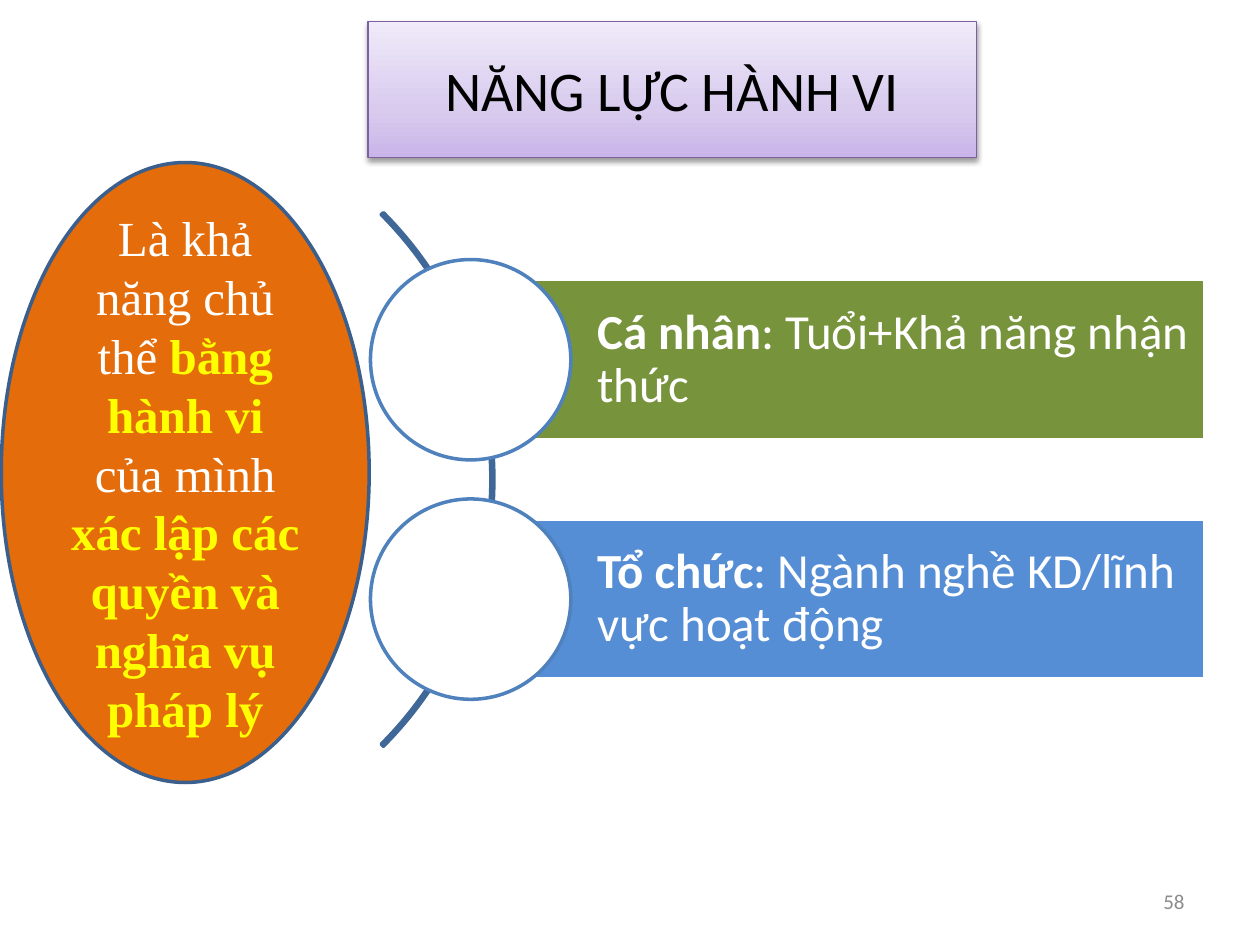
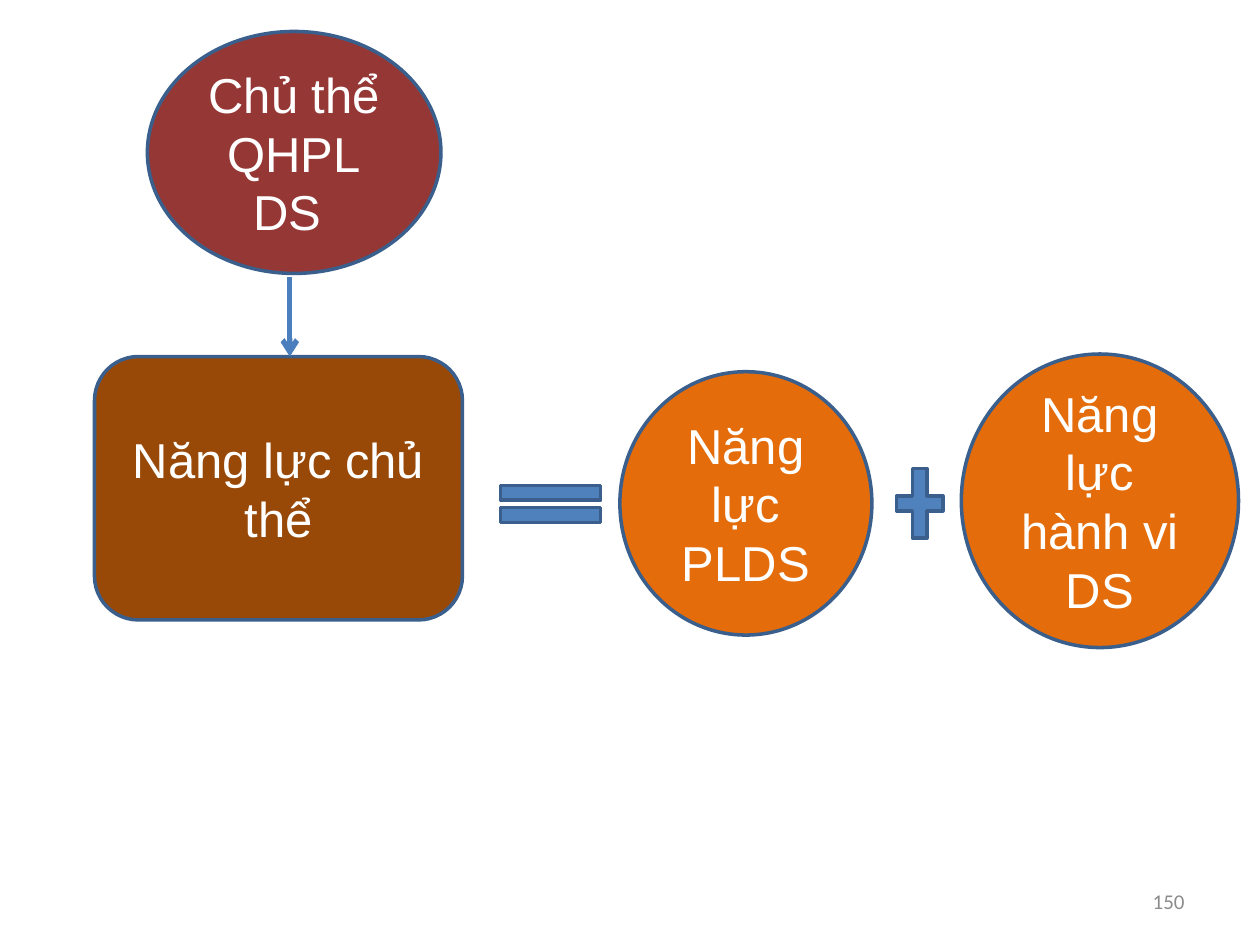
"""Build two slides on legal capacity and the capacity to act."""
from lxml import etree
from pptx import Presentation
from pptx.dml.color import RGBColor
from pptx.enum.shapes import MSO_CONNECTOR, MSO_SHAPE
from pptx.enum.text import MSO_ANCHOR, PP_ALIGN
from pptx.oxml import parse_xml
from pptx.oxml.ns import nsdecls, qn
from pptx.util import Inches, Pt

OVAL, NODE = MSO_SHAPE.OVAL, MSO_SHAPE.FLOWCHART_CONNECTOR
ROUND, RECT = MSO_SHAPE.ROUNDED_RECTANGLE, MSO_SHAPE.RECTANGLE
ARC, PLUS, EQUAL = MSO_SHAPE.BLOCK_ARC, MSO_SHAPE.MATH_PLUS, MSO_SHAPE.MATH_EQUAL
LEFT, CENTER, RIGHT = PP_ALIGN.LEFT, PP_ALIGN.CENTER, PP_ALIGN.RIGHT
MIDDLE = MSO_ANCHOR.MIDDLE
STRAIGHT = MSO_CONNECTOR.STRAIGHT

WHITE = RGBColor(0xFF, 0xFF, 0xFF)
BLACK = RGBColor(0, 0, 0)
YELLOW = RGBColor(0xFF, 0xFF, 0)
GRAY = RGBColor(0x8C, 0x8C, 0x8C)
ORANGE = RGBColor(0xE4, 0x6C, 0x0A)
BROWN = RGBColor(0x98, 0x48, 0x07)
MAROON = RGBColor(0x95, 0x37, 0x35)
GREEN = RGBColor(0x77, 0x93, 0x3C)
SKY = RGBColor(0x55, 0x8E, 0xD5)
BLUE = RGBColor(0x4F, 0x81, 0xBD)
EDGE = RGBColor(0x3A, 0x5F, 0x8C)
CURVE = RGBColor(0x3F, 0x67, 0x97)
ARROW = RGBColor(0x4B, 0x7E, 0xBC)
PURPLE = RGBColor(0x7D, 0x60, 0xA0)
GLOW = [(0, "C9B5E8"), (35, "D8CBEE"), (100, "F0EAF9")]

SANS, BODY, SERIF = "Arial", "Calibri", "Times New Roman"

TITLE = "NĂNG LỰC HÀNH VI"
MEANING = [
    ("Là khả năng chủ thể ", WHITE, False),
    ("bằng hành vi ", YELLOW, True),
    ("của mình ", WHITE, False),
    ("xác lập các quyền và nghĩa vụ pháp lý", YELLOW, True),
]
BARS = [
    ("Cá nhân", ": Tuổi+Khả năng nhận thức", GREEN),
    ("Tổ chức", ": Ngành nghề KD/lĩnh vực hoạt động", SKY),
]
NODES = [
    (NODE, (1.17, 0.25, 2.33, 1.92), MAROON, ["Chủ thể QHPL", "DS "]),
    (ROUND, (0.75, 2.83, 2.92, 2.09), BROWN, ["Năng lực chủ thể"]),
    (NODE, (4.92, 2.95, 2, 2.09), ORANGE, ["Năng lực PLDS"]),
    (NODE, (7.63, 2.81, 2.2, 2.33), ORANGE, ["Năng lực hành vi DS"]),
]
SIGNS = [(PLUS, (7.05, 3.62, 0.5, 0.75)), (EQUAL, (3.83, 3.75, 1.08, 0.5))]


def place(box):
    return [Inches(n) for n in box]


def draw(slide, kind, box, fill=None, edge=EDGE):
    shape = slide.shapes.add_shape(kind, *place(box))
    shape.shadow.inherit = False
    if fill is None:
        shape.fill.background()
    else:
        shape.fill.solid()
        shape.fill.fore_color.rgb = fill
    shape.line.color.rgb = edge
    shape.line.width = Pt(2)
    return shape


def write(shape, lines, font, size=28, align=CENTER):
    """Fill a shape with lines, each a list of (text, colour, bold) runs."""
    frame = shape.text_frame
    frame.word_wrap = True
    frame.vertical_anchor = MIDDLE
    for i, runs in enumerate(lines):
        para = frame.add_paragraph() if i else frame.paragraphs[0]
        para.alignment = align
        for text, color, bold in runs:
            run = para.add_run()
            run.text = text
            run.font.name, run.font.size = font, Pt(size)
            run.font.bold, run.font.color.rgb = bold, color
    return frame


def number(slide, text):
    box = slide.shapes.add_textbox(*place((7.17, 6.95, 2.33, 0.4)))
    write(box, [[(text, GRAY, False)]], BODY, 12, RIGHT)


def banner(slide):
    """Turn the title into a rounded, shaded plate."""
    title = slide.shapes.title
    title.left, title.top, title.width, title.height = place((2.92, 0.17, 4.83, 1.08))
    stops = "".join(f'<a:gs pos="{at * 1000}"><a:srgbClr val="{tone}"/></a:gs>'
                    for at, tone in GLOW)
    props, space = title._element.spPr, nsdecls("a")
    props.append(parse_xml(f'<a:prstGeom {space} prst="roundRect"><a:avLst/></a:prstGeom>'))
    props.append(parse_xml(f'<a:gradFill {space} rotWithShape="1"><a:gsLst>{stops}</a:gsLst>'
                           '<a:lin ang="16200000" scaled="1"/></a:gradFill>'))
    title.line.color.rgb = PURPLE
    title.line.width = Pt(0.75)
    props.append(parse_xml(
        f'<a:effectLst {space}><a:outerShdw blurRad="{Pt(3.1)}" dist="{Pt(1.6)}" '
        'dir="5400000" rotWithShape="0"><a:srgbClr val="000000">'
        '<a:alpha val="38000"/></a:srgbClr></a:outerShdw></a:effectLst>'))
    write(title, [[(TITLE, BLACK, False)]], BODY, 32)


def link(slide, start, end):
    line = slide.shapes.add_connector(STRAIGHT, *place(start + end))
    line.line.color.rgb = ARROW
    line.line.width = Pt(3)
    etree.SubElement(line.line._get_or_add_ln(), qn("a:tailEnd"), type="arrow")
    etree.SubElement(line._element.spPr, qn("a:effectLst"))


def conduct(deck):
    slide = deck.slides.add_slide(deck.slide_layouts[5])
    arc = draw(slide, ARC, (-2.07, 0.81, 5.99, 5.99), edge=CURVE)
    for i, value in enumerate((189, 27, 0.004)):
        arc.adjustments[i] = value
    for i, (name, rest, fill) in enumerate(BARS):
        top = 2.22 + 1.9 * i
        bar = draw(slide, RECT, (3.73, top, 5.83, 1.27), fill, WHITE)
        frame = write(bar, [[(name, WHITE, True), (rest, WHITE, False)]], BODY, align=LEFT)
        frame.margin_left = Inches(1.01)
        frame.margin_right = frame.margin_top = frame.margin_bottom = Inches(0.08)
        frame.paragraphs[0].line_spacing = 0.9
        draw(slide, OVAL, (2.94, top - 0.16, 1.59, 1.59), WHITE, BLUE)
    write(draw(slide, OVAL, (0.01, 1.29, 2.92, 4.92), ORANGE), [MEANING], SERIF)
    number(slide, "58")
    banner(slide)


def subject(deck):
    slide = deck.slides.add_slide(deck.slide_layouts[6])
    for kind, box, fill, lines in NODES:
        write(draw(slide, kind, box, fill), [[(text, WHITE, False)] for text in lines], SANS)
    for kind, box in SIGNS:
        draw(slide, kind, box, BLUE)
    link(slide, (2.3, 2.2), (2.3, 2.83))
    number(slide, "150")


def main():
    deck = Presentation()
    deck.slide_width, deck.slide_height = Inches(10), Inches(7.5)
    conduct(deck)
    subject(deck)
    deck.save("out.pptx")


if __name__ == "__main__":
    main()
